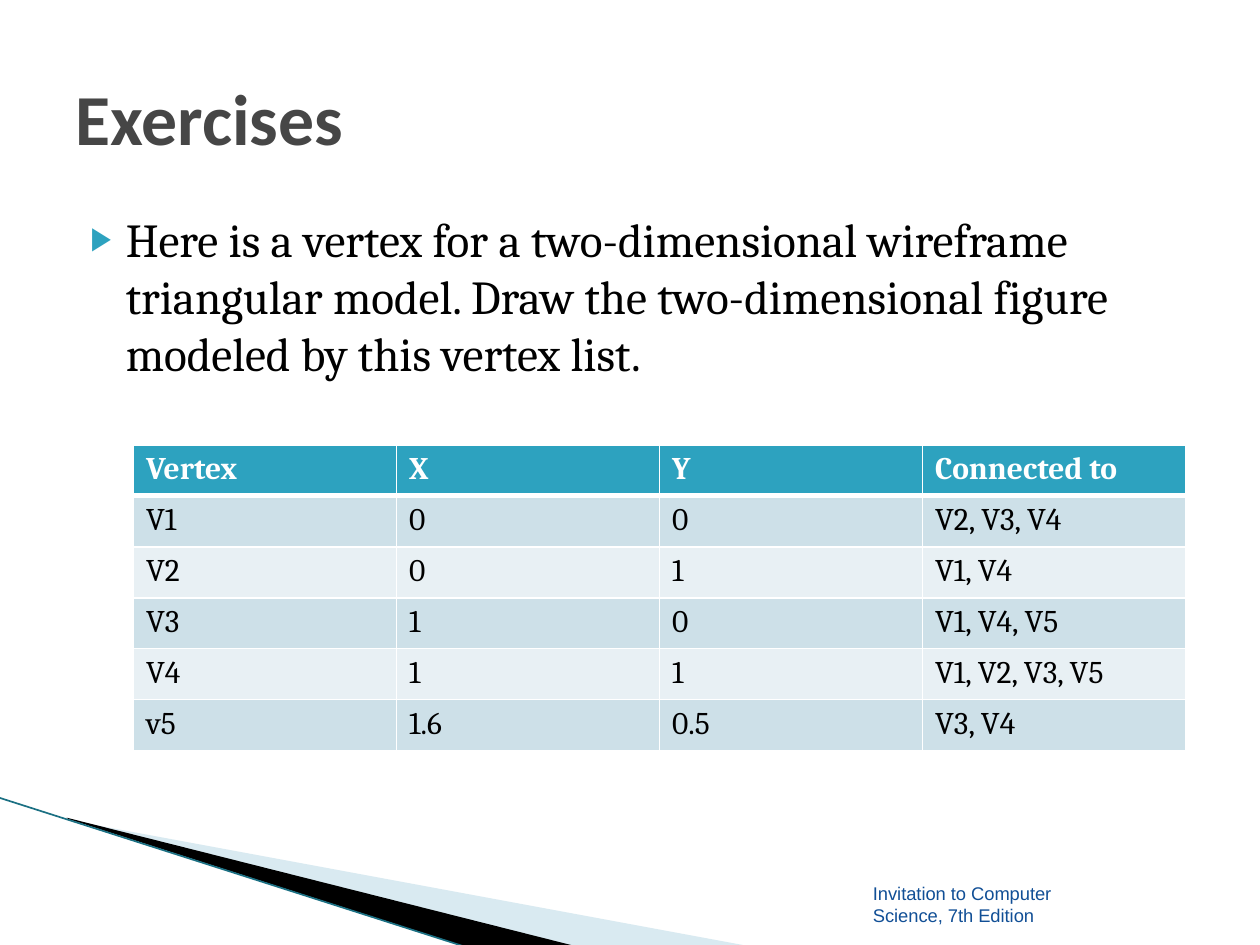
import pptx
import pptx.util
import pptx.oxml
import pptx.oxml.ns
import pptx.dml.color
import pptx.enum.shapes
import pptx.enum.text
import lxml.etree

Inches = pptx.util.Inches
Pt = pptx.util.Pt
RGB = pptx.dml.color.RGBColor.from_string
qn = pptx.oxml.ns.qn
sub = lxml.etree.SubElement

hues = {
    "white": "FFFFFF", "black": "000000", "teal": "2DA2BF", "grey": "464646",
    "navy": "114F96", "pale": "A0CBDC", "edge": "1B7083",
    "odd": "CDE0E8", "even": "E8F0F4",
}


def write(frame, text, font="Cambria", size=18, hue="black", bold=False, anchor=None):
    frame.word_wrap = True
    if anchor is not None:
        frame.vertical_anchor = anchor
    para = frame.paragraphs[0]
    run = para.add_run()
    run.text = text
    run.font.name = font
    run.font.size = Pt(size)
    run.font.bold = bold
    run.font.color.rgb = RGB(hues[hue])
    return para


deck = pptx.Presentation()
deck.slide_width = Inches(10)
deck.slide_height = Inches(7.5)
slide = deck.slides.add_slide(deck.slide_layouts[6])
shapes = slide.shapes

wedges = [
    ("pale", 40, [(0.55, 6.51), (5.95, 7.51), (4.56, 7.51), (0.55, 6.5)]),
    ("black", 100, [(0.53, 6.49), (4.57, 7.51), (3.72, 7.52), (0.54, 6.5)]),
]
for hue, alpha, spots in wedges:
    spots = [(Inches(x), Inches(y)) for x, y in spots]
    build = shapes.build_freeform(*spots[0])
    build.add_line_segments(spots[1:], close=True)
    wedge = build.convert_to_shape()
    wedge.shadow.inherit = False
    wedge.line.fill.background()
    wedge.fill.solid()
    wedge.fill.fore_color.rgb = RGB(hues[hue])
    if alpha < 100:
        tint = wedge.fill._xPr.find(qn("a:solidFill"))[0]
        sub(tint, qn("a:alpha"), val=str(alpha * 1000))

edge = shapes.add_connector(
    pptx.enum.shapes.MSO_CONNECTOR.STRAIGHT,
    Inches(-0.01), Inches(6.33), Inches(3.71), Inches(7.52))
edge.line.color.rgb = RGB(hues["edge"])
edge.line.width = Pt(0.95)
sub(edge._element.spPr, qn("a:effectLst"))

foot = shapes.add_textbox(Inches(6.83), Inches(6.95), Inches(2), Inches(0.47))
write(foot.text_frame, "Invitation to Computer Science, 7th Edition",
      font="Arial", size=10.5, hue="navy")

body = shapes.add_textbox(Inches(0.5), Inches(1.62), Inches(9), Inches(1.56))
para = write(
    body.text_frame,
    "Here is a vertex for a two-dimensional wireframe triangular model. "
    "Draw the two-dimensional figure modeled by this vertex list.",
    size=27)
props = para._p.get_or_add_pPr()
props.set("marL", str(Inches(0.4)))
props.set("indent", str(Inches(-0.28)))
sub(sub(props, qn("a:buClr")), qn("a:srgbClr"), val=hues["teal"])
sub(props, qn("a:buSzPct"), val="68000")
sub(props, qn("a:buFont"), typeface="Arial")
sub(props, qn("a:buChar"), char="▶")

title = shapes.add_textbox(Inches(0.5), Inches(0.3), Inches(9), Inches(1.25))
write(title.text_frame, "Exercises", font="Calibri", size=41, hue="grey",
      bold=True, anchor=pptx.enum.text.MSO_ANCHOR.MIDDLE)

rows = [
    ("Vertex", "X", "Y", "Connected to"),
    ("V1", "0", "0", "V2, V3, V4"),
    ("V2", "0", "1", "V1, V4"),
    ("V3", "1", "0", "V1, V4, V5"),
    ("V4", "1", "1", "V1, V2, V3, V5"),
    ("v5", "1.6", "0.5", "V3, V4"),
]
grid = shapes.add_table(len(rows), 4, Inches(1.06), Inches(3.53),
                        Inches(8.35), Inches(2.43)).table
for r, row in enumerate(rows):
    head = r == 0
    for c, text in enumerate(row):
        cell = grid.cell(r, c)
        write(cell.text_frame, text, hue="white" if head else "black", bold=head)
        props = cell._tc.get_or_add_tcPr()
        for side in "LRTB":
            thick = (head and side == "B") or (r == 1 and side == "T")
            line = sub(props, qn("a:ln" + side), w=str(Pt(3 if thick else 1)))
            sub(sub(line, qn("a:solidFill")), qn("a:srgbClr"), val=hues["white"])
        cell.fill.solid()
        band = "teal" if head else "odd" if r % 2 else "even"
        cell.fill.fore_color.rgb = RGB(hues[band])

deck.save("out.pptx")
